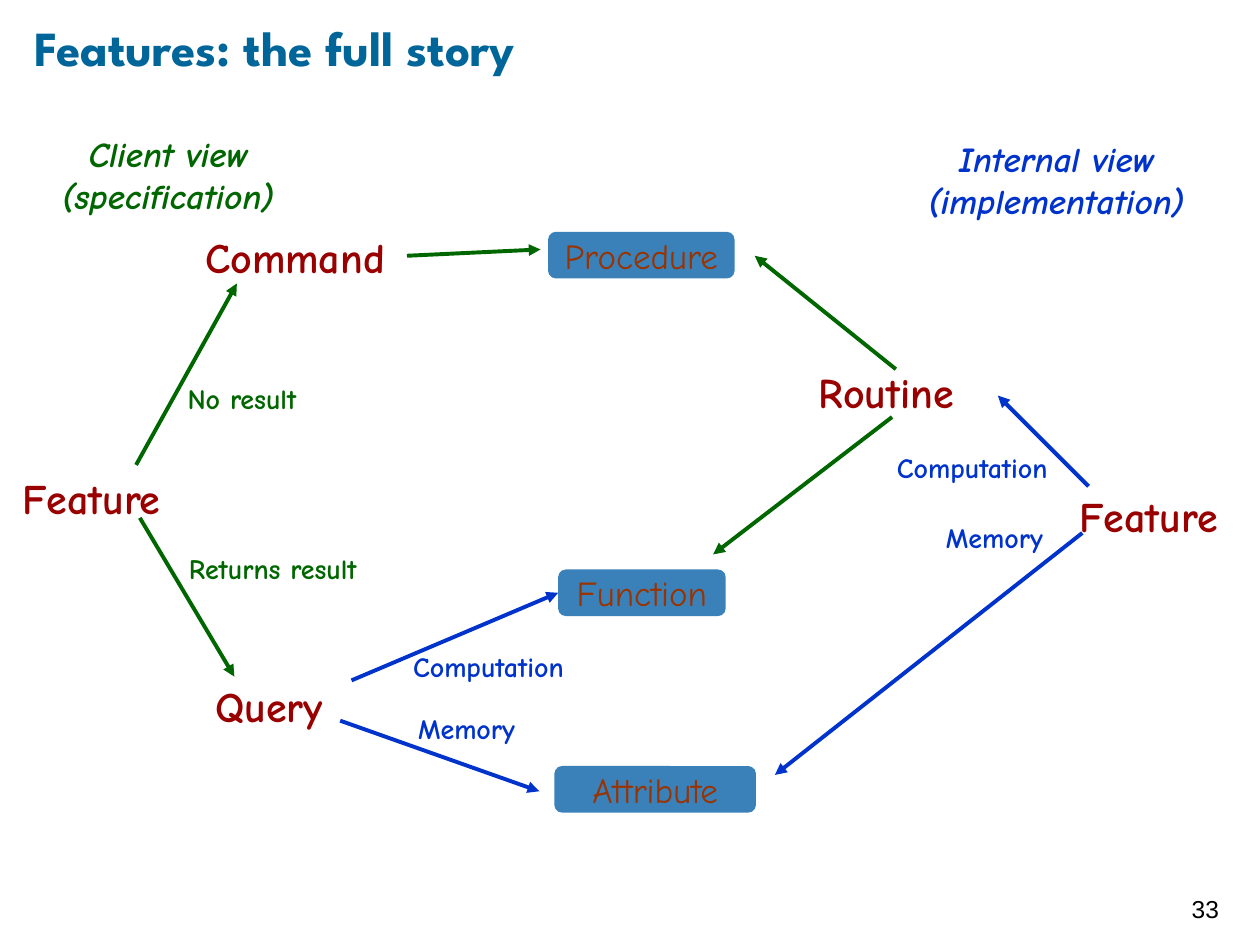
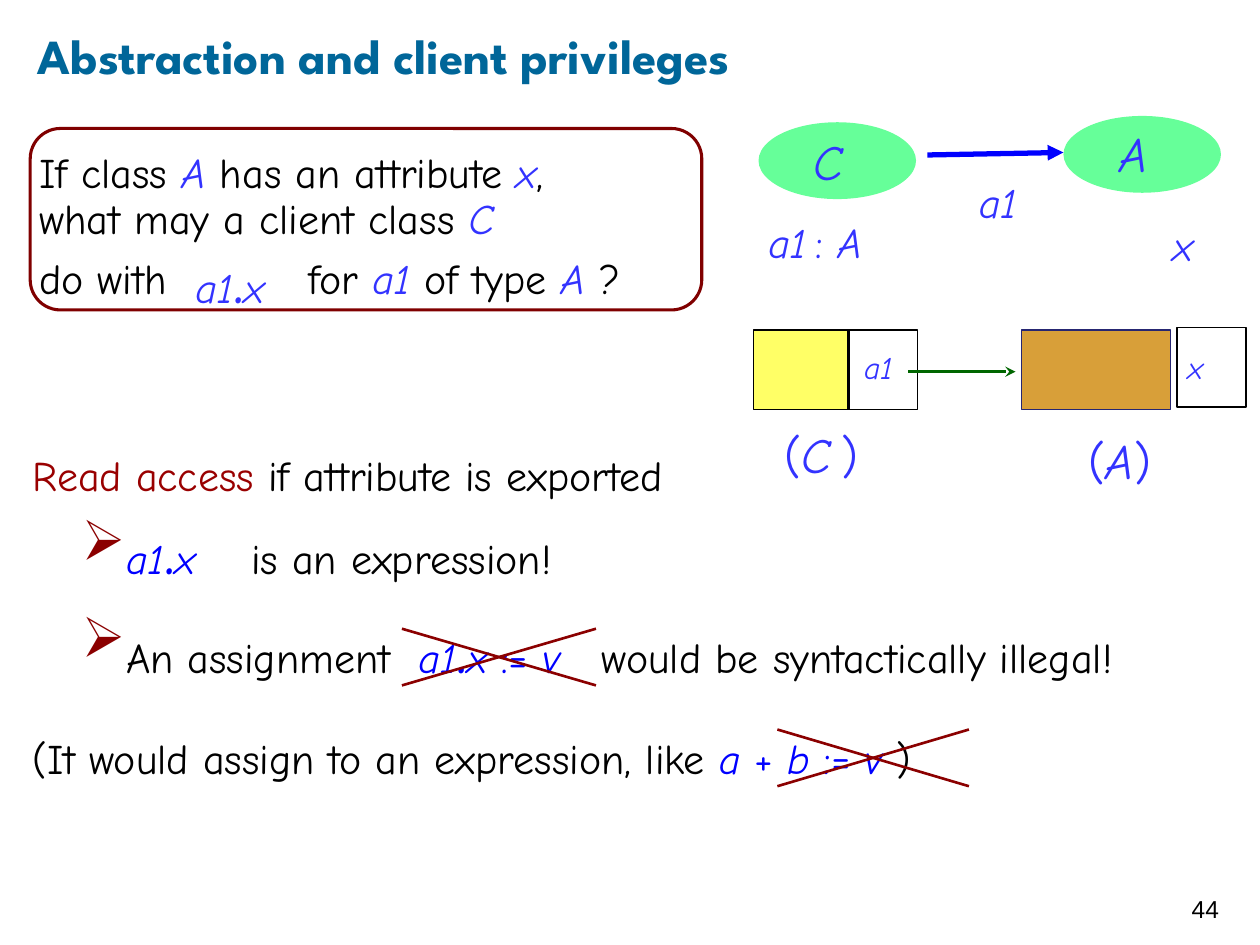
from dataclasses import dataclass

from lxml.etree import SubElement
from pptx import Presentation
from pptx.dml.color import RGBColor
from pptx.enum.shapes import MSO_CONNECTOR, MSO_SHAPE
from pptx.enum.text import MSO_ANCHOR, MSO_AUTO_SIZE, PP_ALIGN
from pptx.oxml.ns import qn
from pptx.util import Inches, Pt

BLACK = RGBColor(0x00, 0x00, 0x00)
TEAL = RGBColor(0x00, 0x66, 0x99)
RED = RGBColor(0x99, 0x00, 0x00)
MAROON = RGBColor(0x80, 0x00, 0x00)
CROSS = RGBColor(0x8B, 0x00, 0x00)
RUST = RGBColor(0x99, 0x33, 0x00)
GREEN = RGBColor(0x00, 0x66, 0x00)
BLUE = RGBColor(0x00, 0x33, 0xCC)
PURE = RGBColor(0x00, 0x00, 0xFF)
VIOLET = RGBColor(0x33, 0x33, 0xFF)
STEEL = RGBColor(0x3A, 0x81, 0xBA)
MINT = RGBColor(0x66, 0xFF, 0x99)
YELLOW = RGBColor(0xFF, 0xFF, 0x66)
OCHRE = RGBColor(0xD8, 0x9F, 0x39)
NAVY = RGBColor(0x26, 0x26, 0x72)

BODY, HEAD, PLAIN = "Comic Neue", "League Spartan", "Arial"
INSET = (0.1, 0.05, 0.1, 0.05)
NONE = (0, 0, 0, 0)
SMALL = (0.04, 0.04, 0.04, 0.04)


@dataclass
class Para:
    """Runs are strings, or (text, style) pairs; a newline breaks the line."""
    runs: list
    line: float = None
    before: float = 0
    bullet: bool = False


def gap(points):
    """One space widened by the given number of points."""
    return " ", {"spread": points}


def var(text, color):
    return text, {"color": color, "italic": True}


def access(color):
    """The expression a1.x with a large dot."""
    return [var("a1", color), (".", {"color": color, "size": 40}),
            var("x", color)]


def style(font, size=None, color=None, bold=None, italic=None, name=None):
    if size:
        font.size = Pt(size)
    if color is not None:
        font.color.rgb = color
    if name:
        font.name = name
    if bold is not None:
        font.bold = bold
    if italic is not None:
        font.italic = italic


def mark(para):
    """Give the paragraph an arrow bullet with a hanging indent."""
    props = para._p.get_or_add_pPr()
    props.set("marL", str(Inches(0.59)))
    props.set("indent", str(Inches(-0.2)))
    tint = SubElement(props, qn("a:buClr"))
    SubElement(tint, qn("a:srgbClr"), val=str(CROSS))
    SubElement(props, qn("a:buSzPct"), val="133000")
    SubElement(props, qn("a:buChar"), char="➢")


class Deck:
    def __init__(self):
        self.show = Presentation()
        self.show.slide_width = Inches(10)
        self.show.slide_height = Inches(7.5)
        self.slide = None

    def start(self, title, box, number):
        """Add a slide with its title and page number."""
        self.slide = self.show.slides.add_slide(self.show.slide_layouts[5])
        head = self.slide.shapes.title
        head.left, head.top, head.width, head.height = map(Inches, box)
        self.put(head.text_frame, [Para([title])], 28, TEAL, bold=True,
                 name=HEAD, inset=NONE, anchor=MSO_ANCHOR.MIDDLE)
        self.text((9.36, 6.93, 0.6, 0.57), str(number), 14, BLACK, name=PLAIN,
                  inset=(0.1,) * 4, anchor=MSO_ANCHOR.MIDDLE)

    def put(self, frame, paras, size, color, bold=False, italic=False,
            name=BODY, inset=INSET, align=PP_ALIGN.LEFT,
            anchor=MSO_ANCHOR.TOP):
        """Fill a text frame with paragraphs."""
        frame.word_wrap = True
        frame.auto_size = MSO_AUTO_SIZE.NONE
        frame.vertical_anchor = anchor
        (frame.margin_left, frame.margin_top,
         frame.margin_right, frame.margin_bottom) = map(Inches, inset)
        for i, item in enumerate(paras):
            para = frame.add_paragraph() if i else frame.paragraphs[0]
            para.alignment = align
            if item.line:
                para.line_spacing = item.line
            if item.before:
                para.space_before = Pt(item.before)
            if item.bullet:
                mark(para)
            style(para.font, size, color, bold, italic, name)
            for part in item.runs:
                self.run(para, part)

    def run(self, para, part):
        text, look = part if isinstance(part, tuple) else (part, {})
        if text == "\n":
            para.add_line_break()
            return
        run = para.add_run()
        run.text = text
        look = dict(look)
        spread = look.pop("spread", None)
        style(run.font, **look)
        if spread:
            run._r.get_or_add_rPr().set("spc", str(spread * 100))

    def text(self, box, words, size, color, **look):
        """Words are one string, a list of runs, or a list of Para."""
        if isinstance(words, str):
            words = [words]
        if not isinstance(words[0], Para):
            words = [Para(words)]
        frame = self.slide.shapes.add_textbox(*map(Inches, box)).text_frame
        self.put(frame, words, size, color, **look)

    def shape(self, kind, box, fill=None, line=None, width=0.75):
        shape = self.slide.shapes.add_shape(kind, *map(Inches, box))
        shape.shadow.inherit = False
        if fill is None:
            shape.fill.background()
        else:
            shape.fill.solid()
            shape.fill.fore_color.rgb = fill
        if line is None:
            shape.line.fill.background()
        else:
            shape.line.color.rgb = line
            shape.line.width = Pt(width)
        return shape

    def badge(self, box, label):
        shape = self.shape(MSO_SHAPE.ROUNDED_RECTANGLE, box, STEEL)
        self.put(shape.text_frame, [Para([label])], 20, RUST, inset=NONE,
                 align=PP_ALIGN.CENTER)
        return shape

    def line(self, start, end, color, width=2.25, tip="triangle"):
        link = self.slide.shapes.add_connector(
            MSO_CONNECTOR.STRAIGHT, *map(Inches, start + end))
        link.line.color.rgb = color
        link.line.width = Pt(width)
        props = link._element.spPr
        if tip:
            SubElement(props.find(qn("a:ln")), qn("a:tailEnd"), type=tip)
        SubElement(props, qn("a:effectLst"))
        return link

    def cross(self, left, top, right, low):
        for first, last in ((low, top), (top, low)):
            self.line((left, first), (right, last), CROSS, 1.5, None)


def story(deck):
    deck.start("Features: the full story", (0.27, 0.13, 8.69, 0.48), 33)

    for box, label in (
            ((0.08, 3.7, 1.5, 0.4), "Feature"),
            ((1.53, 1.79, 1.97, 0.5), "Command"),
            ((1.61, 5.35, 1.5, 0.4), "Query"),
            ((6.4, 2.86, 1.6, 0.5), "Routine"),
            ((8.47, 3.84, 1.53, 0.5), "Feature")):
        deck.text(box, label, 24, RED, bold=True)

    for left, top, width, label, color in (
            (1.39, 2.98, 1.37, "No result", GREEN),
            (1.4, 4.33, 1.84, "Returns result", GREEN),
            (3.18, 5.11, 1.49, "Computation", BLUE),
            (3.22, 5.6, 1.17, "Memory", BLUE),
            (7.02, 3.53, 1.49, "Computation", BLUE),
            (7.41, 4.08, 1.17, "Memory", BLUE)):
        deck.text((left, top, width, 0.37), label, 16, color, bold=True)

    for box, view, role, color in (
            ((0.34, 1.05, 1.99, 0.67), "Client view", "(specification)", GREEN),
            ((7.22, 1.09, 2.33, 0.67), "Internal view", "(implementation)",
             BLUE)):
        deck.text(box, [view, "\n", role], 20, color, bold=True, italic=True,
                  inset=NONE, align=PP_ALIGN.CENTER)

    deck.badge((4.35, 1.84, 1.48, 0.37), "Procedure")
    deck.badge((4.4, 6.08, 1.6, 0.37), "Attribute")
    target = deck.badge((4.43, 4.52, 1.33, 0.37), "Function")

    for start, end, color in (
            ((1.08, 3.69), (1.88, 2.25), GREEN),
            ((1.11, 4.11), (1.86, 5.37), GREEN),
            ((3.23, 2.03), (4.29, 1.98), GREEN),
            ((7.11, 2.93), (5.99, 2.03), GREEN),
            ((7.08, 3.31), (5.66, 4.4), GREEN),
            ((2.7, 5.72), (4.28, 6.28), BLUE),
            ((8.59, 4.23), (6.15, 6.15), BLUE),
            ((8.64, 3.86), (7.92, 3.14), BLUE)):
        deck.line(start, end, color)
    deck.line((2.79, 5.4), (4.43, 4.71), BLUE).end_connect(target, 1)


def rights(deck):
    deck.start("Abstraction and client privileges", (0.3, 0.04, 8.89, 0.79), 44)

    blue = {"color": PURE}
    deck.text((0.16, 3.56, 9.69, 2.85), [
        Para([("Read access", {"color": RED}), " if attribute is exported"],
             0.9),
        Para(access(PURE) + [gap(24), "is an expression!"], 0.9, 8, True),
        Para(["An assignment", gap(8), *access(PURE), (" := ", blue),
              var("v", PURE), gap(16), "would be syntactically illegal!"],
             0.75, 19, True),
        Para(["(It would assign to an expression, like ", var("a", PURE),
              (" + ", blue), var("b ", PURE), (":= ", blue), var("v ", PURE),
              ")"], 0.9, 30),
    ], 24, BLACK)
    deck.cross(3.19, 4.99, 4.73, 5.44)
    deck.cross(6.17, 5.79, 7.69, 6.24)

    ask = deck.shape(MSO_SHAPE.ROUNDED_RECTANGLE, (0.24, 1.02, 5.33, 1.44),
                     line=MAROON, width=1.75)
    deck.put(ask.text_frame, [
        Para(["If class ", var("A", VIOLET), " has an attribute ",
              var("x", VIOLET), ",", "\n", "what may a client class ",
              var("C", VIOLET)], 0.9),
        Para(["do with", gap(73), "for ", var("a1", VIOLET), " of type ",
              var("A ", VIOLET), "?"], 0.75, 12),
    ], 24, BLACK, inset=(0, 0.12, 0, 0))
    deck.text((1.55, 2.01, 0.99, 0.44), [Para(access(VIOLET), 0.75)], 24,
              VIOLET, inset=NONE)

    for left, top in ((6.02, 0.97), (8.44, 0.92)):
        deck.shape(MSO_SHAPE.OVAL, (left, top, 1.25, 0.61), MINT)
    deck.line((7.36, 1.23), (8.44, 1.21), PURE, 3)

    for box, fill, edge in (
            ((5.98, 2.62, 0.76, 0.63), YELLOW, BLACK),
            ((6.73, 2.62, 0.55, 0.63), None, BLACK),
            ((8.11, 2.62, 1.18, 0.63), OCHRE, NAVY),
            ((9.34, 2.6, 0.55, 0.63), None, BLACK)):
        deck.shape(MSO_SHAPE.RECTANGLE, box, fill, edge)
    deck.line((7.21, 2.95), (8.06, 2.95), GREEN, 1.5, "stealth")

    slant = {"italic": True}
    for box, words in (
            ((5.86, 1, 1.44, 0.78), [("C", slant)]),
            ((8.28, 0.94, 1.44, 0.55), [("A", slant)]),
            ((5.97, 3.33, 1.1, 0.55),
             ["(", ("C", slant), (" ", {"size": 18}), ")"]),
            ((8.34, 3.38, 1.1, 0.55), ["(", ("A", slant), ")"])):
        deck.text(box, words, 28, VIOLET, inset=SMALL, align=PP_ALIGN.CENTER)

    for box, words, size in (
            ((6, 1.67, 1.19, 0.5),
             [("a1", slant), (" ", {"size": 16}), ": ", ("A", slant)], 24),
            ((7.67, 1.35, 0.53, 0.5), [("a1", slant)], 24),
            ((9.21, 1.69, 0.53, 0.5), [("x", slant)], 24),
            ((6.76, 2.71, 0.94, 0.4), [("a1", slant)], 18),
            ((9.33, 2.71, 0.52, 0.4), [("x", slant)], 18)):
        deck.text(box, words, size, VIOLET)


def main():
    deck = Deck()
    story(deck)
    rights(deck)
    deck.show.save("out.pptx")


if __name__ == "__main__":
    main()
